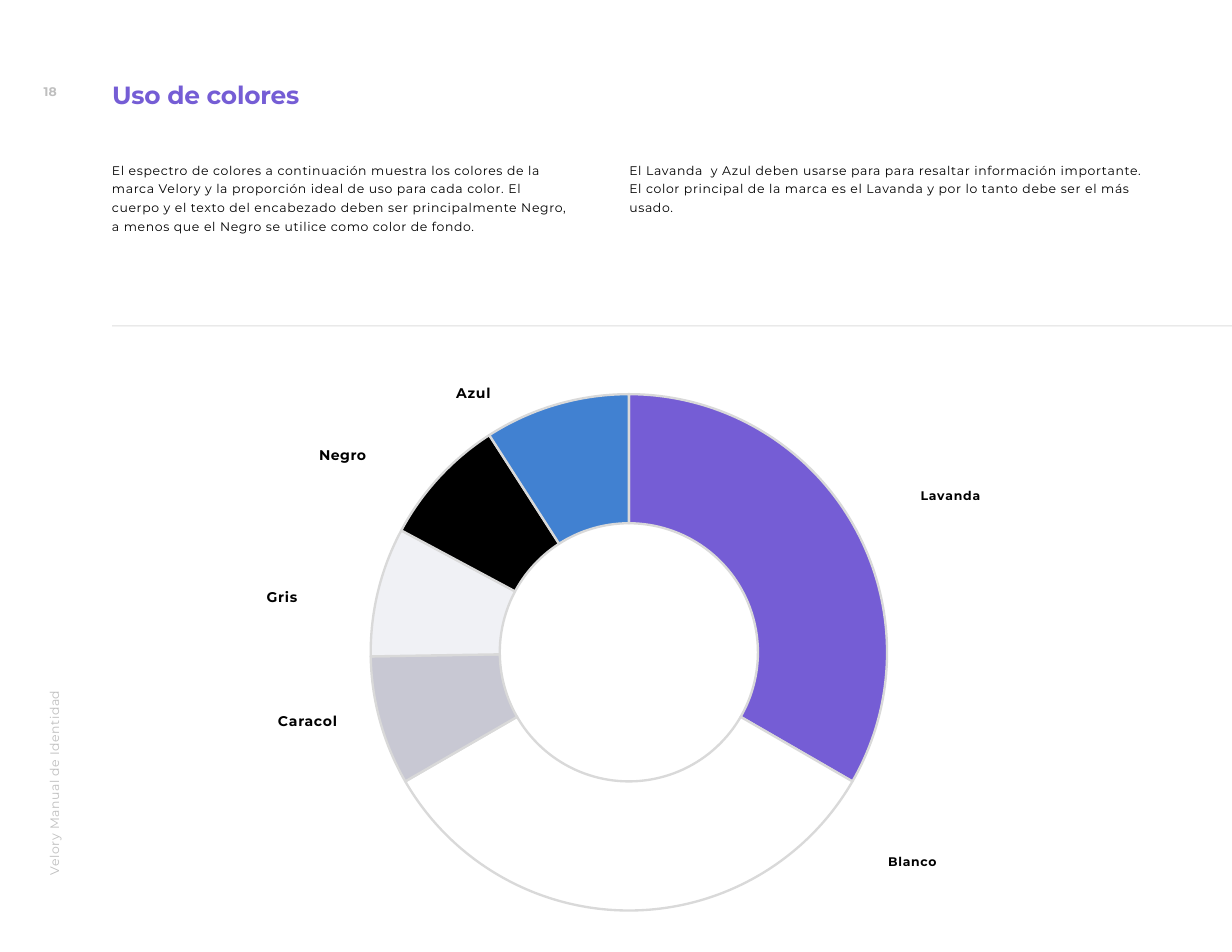
from pptx import Presentation
from pptx.chart.data import CategoryChartData
from pptx.dml.color import RGBColor
from pptx.enum.chart import XL_CHART_TYPE
from pptx.enum.shapes import MSO_CONNECTOR
from pptx.enum.text import MSO_ANCHOR, PP_ALIGN
from pptx.oxml import parse_xml
from pptx.oxml.ns import nsdecls, qn
from pptx.util import Pt
from lxml import etree

DOUGHNUT = XL_CHART_TYPE.DOUGHNUT
STRAIGHT = MSO_CONNECTOR.STRAIGHT
TOP, MIDDLE = MSO_ANCHOR.TOP, MSO_ANCHOR.MIDDLE
LEFT, RIGHT = PP_ALIGN.LEFT, PP_ALIGN.RIGHT

FONT = "Montserrat"
LAVENDER, BLACK, PALE = "755DD5", "000000", "BFBFBF"
MARGIN, COLUMN_2, PAGE_W, PAGE_H = 72, 404.6, 792, 612

INTRO = (
    "El espectro de colores a continuación muestra los colores de la marca Velory "
    "y la proporción ideal de uso para cada color. El cuerpo y el texto del "
    "encabezado deben ser principalmente Negro, a menos que el Negro se utilice "
    "como color de fondo."
)
ACCENTS = (
    "El Lavanda  y Azul deben usarse para para resaltar información importante. "
    "El color principal de la marca es el Lavanda y por lo tanto debe ser el más usado."
)
SHARES = [
    ("Lavanda", 33, LAVENDER),
    ("Blanco", 33, "FFFFFF"),
    ("Caracol", 8, "C8C8D3"),
    ("Gris", 8, "F0F1F5"),
    ("Negro", 8, BLACK),
    ("Azul", 9, "4181D1"),
]
LABELS = [
    ("Azul", 265.7, 243.4, 49.7, 9, 0.5, RIGHT),
    ("Negro", 205.2, 283, 54.7, 9, 0.3, LEFT),
    ("Gris", 171.4, 374.4, 46, 9, 0.5, LEFT),
    ("Caracol", 178.6, 454.3, 41.8, 9, 0.5, LEFT),
    ("Lavanda", 591.8, 310.3, 59.8, 8, 0.5, LEFT),
    ("Blanco", 571, 545.8, 46.8, 8, 0.4, LEFT),
]


def rgb(color):
    return RGBColor.from_string(color)


def add_text(s, text, x, y, w, h, size=8, color=BLACK, bold=False, leading=None,
             tracking=0, align=LEFT, anchor=TOP, rotation=0):
    sp = s.shapes.add_textbox(Pt(x), Pt(y), Pt(w), Pt(h))
    sp.rotation = rotation
    tf = sp.text_frame
    tf.word_wrap = True
    tf.vertical_anchor = anchor
    tf.margin_left = tf.margin_top = tf.margin_right = tf.margin_bottom = 0
    p = tf.paragraphs[0]
    p.alignment = align
    if leading:
        p.line_spacing = Pt(leading)
    p.font.name = FONT
    p.font.size = Pt(size)
    p.font.bold = bold
    p.font.color.rgb = rgb(color)
    r = p.add_run()
    r.text = text
    r._r.get_or_add_rPr().set("spc", str(round(tracking * 100)))


def add_divider(s, x1, x2, y):
    line = s.shapes.add_connector(STRAIGHT, Pt(x1), Pt(y), Pt(x2), Pt(y))
    line.line.color.rgb = rgb("A6A6A6")
    line.line.width = Pt(0.5)
    color = line._element.spPr.find(".//" + qn("a:srgbClr"))
    etree.SubElement(color, qn("a:alpha")).set("val", "36000")
    etree.SubElement(line._element.spPr, qn("a:effectLst"))


def set_plot_area(chart, x, y, w, h):
    plot_area = chart._chartSpace.chart.plotArea
    for old in plot_area.findall(qn("c:layout")):
        plot_area.remove(old)
    sizes = "".join(f'<c:{k} val="{v}"/>' for k, v in zip("xywh", (x, y, w, h)))
    plot_area.insert(0, parse_xml(
        f'<c:layout {nsdecls("c")}><c:manualLayout><c:layoutTarget val="inner"/>'
        f'<c:xMode val="edge"/><c:yMode val="edge"/>{sizes}'
        "</c:manualLayout></c:layout>"))


def add_doughnut(s, shares, x, y, w, h, diameter):
    data = CategoryChartData()
    data.categories = [name for name, _, _ in shares]
    data.add_series("Uso de colores", [value for _, value, _ in shares])
    chart = s.shapes.add_chart(DOUGHNUT, Pt(x), Pt(y), Pt(w), Pt(h), data).chart
    chart.has_legend = False
    chart.has_title = False
    chart.font.name = "Calibri"
    chart.font.size = Pt(10)
    chart.font.color.rgb = rgb(BLACK)
    plot = chart.plots[0]
    plot.vary_by_categories = True
    plot._element.find(qn("c:holeSize")).set("val", "50")
    for i, (_, _, color) in enumerate(shares):
        fmt = plot.series[0].points[i].format
        fmt.fill.solid()
        fmt.fill.fore_color.rgb = rgb(color)
        fmt.line.color.rgb = rgb("D9D9D9")
        fmt.line.width = Pt(1.5)
    fw, fh = diameter / w, diameter / h
    set_plot_area(chart, (1 - fw) / 2, (1 - fh) / 2, fw, fh)


def main():
    prs = Presentation()
    prs.slide_width, prs.slide_height = Pt(PAGE_W), Pt(PAGE_H)
    s = prs.slides.add_slide(prs.slide_layouts[6])

    add_text(s, "18", 28.1, 54, 17.3, 9.4, color=PALE, bold=True, anchor=MIDDLE)
    add_text(s, "Uso de colores", MARGIN, 39.6, 332.6, 31, size=16, color=LAVENDER,
             bold=True, leading=30.6, tracking=-0.1)
    add_text(s, INTRO, MARGIN, 102.2, 296, 51, leading=12, tracking=0.4)
    add_text(s, ACCENTS, COLUMN_2, 102.2, 331.2, 39, leading=12, tracking=0.4)
    add_text(s, "Velory Manual de Identidad", -62.6, 457.2, 196.6, 14.4, color=PALE,
             leading=11.2, tracking=0.3, rotation=270)
    add_divider(s, MARGIN, PAGE_W, 209.5)

    add_doughnut(s, SHARES, 140.4, 243.4, 527.8, 352, diameter=332)
    for name, x, y, w, size, tracking, align in LABELS:
        add_text(s, name, x, y, w, 17, size=size, bold=True, leading=size * 1.63,
                 tracking=tracking, align=align)

    prs.save("out.pptx")


if __name__ == "__main__":
    main()
